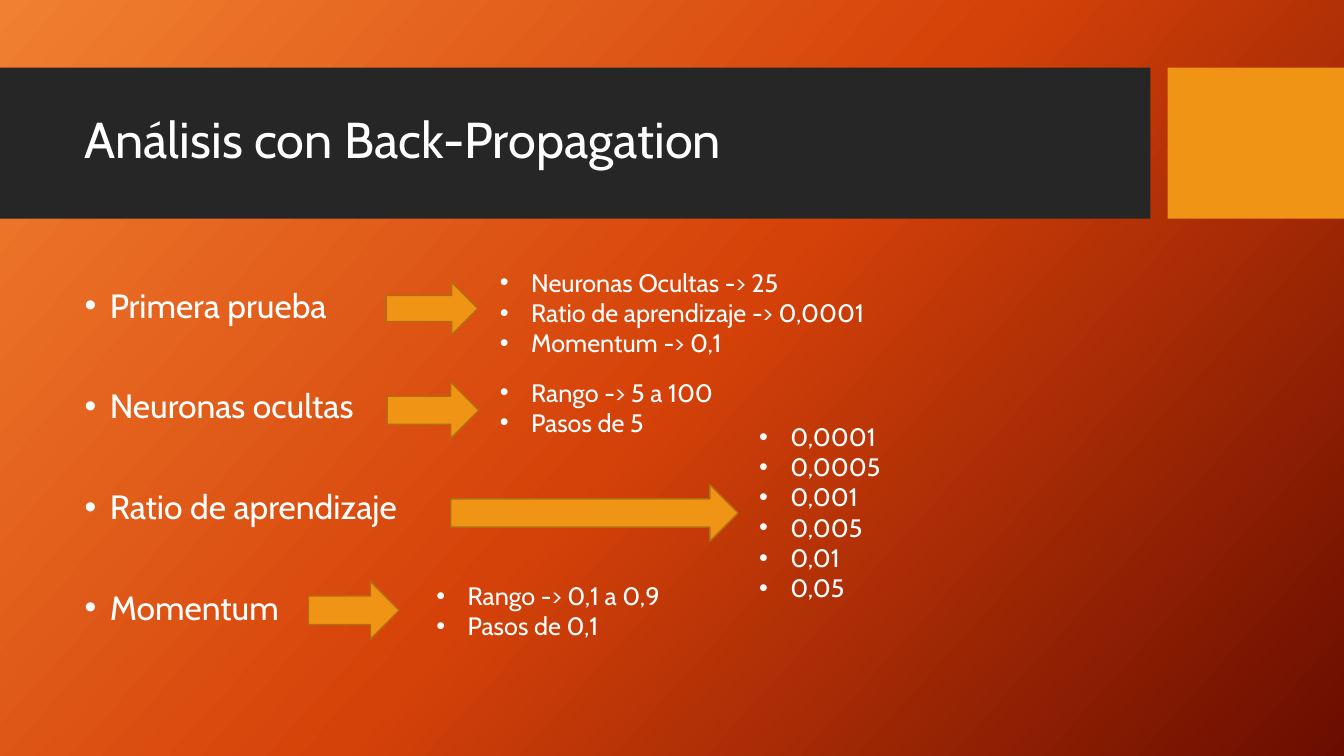
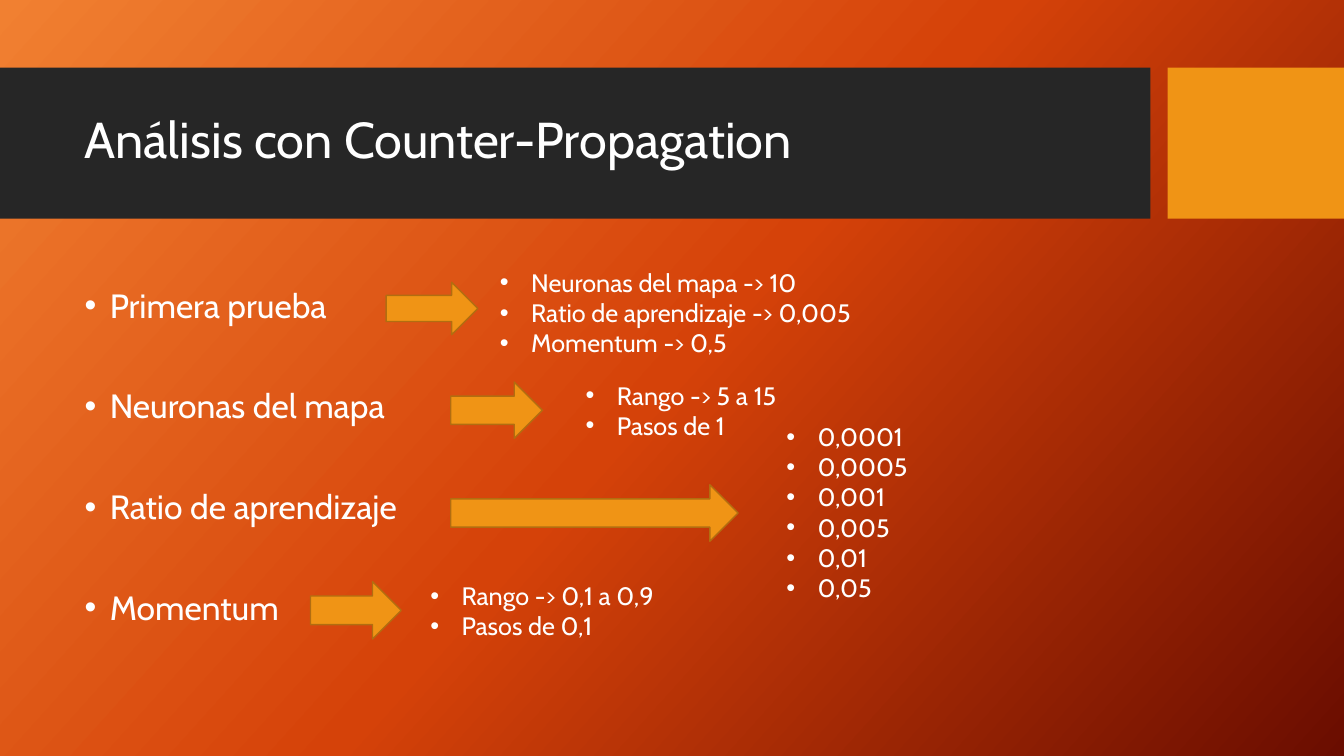
"""Builds two slides comparing the test settings of two neural network types."""
from copy import deepcopy
from dataclasses import dataclass

from lxml import etree
from pptx import Presentation
from pptx import util as u
from pptx.dml.color import RGBColor
from pptx.enum import shapes, text
from pptx.oxml.ns import qn

In = u.Inches


@dataclass(frozen=True)
class Theme:
    font: str = "Cabin"
    ink: str = "FFFFFF"
    band: str = "262626"
    accent: str = "F09415"
    accent_edge: str = "B26D10"
    backdrop: tuple = ((0, "F18031"), (0.5, "D54209"), (1, "6A0D00"))
    backdrop_angle: int = 42
    title_size: int = 36
    topic_size: int = 24
    detail_size: int = 18


THEME = Theme()
RATIOS = ["0,0001", "0,0005", "0,001", "0,005", "0,01", "0,05"]
MOMENTUM = ["Rango -> 0,1 a 0,9", "Pasos de 0,1"]

# topic, arrow left, details left, details top, details
DECK = [
    ("Análisis con Back-Propagation", [
        ("Primera prueba", 3.83, 4.86, 2.6,
         ["Neuronas Ocultas -> 25", "Ratio de aprendizaje -> 0,0001", "Momentum -> 0,1"]),
        ("Neuronas ocultas", 3.84, 4.86, 3.69, ["Rango -> 5 a 100", "Pasos de 5"]),
        ("Ratio de aprendizaje", 4.47, 7.43, 4.13, RATIOS),
        ("Momentum", 3.06, 4.23, 5.71, MOMENTUM),
    ]),
    ("Análisis con Counter-Propagation", [
        ("Primera prueba", 3.83, 4.86, 2.6,
         ["Neuronas del mapa -> 10", "Ratio de aprendizaje -> 0,005", "Momentum -> 0,5"]),
        ("Neuronas del mapa", 4.47, 5.71, 3.72, ["Rango -> 5 a 15", "Pasos de 1"]),
        ("Ratio de aprendizaje", 4.47, 7.7, 4.13, RATIOS),
        ("Momentum", 3.08, 4.17, 5.71, MOMENTUM),
    ]),
]
ARROW_ROWS = [(2.8, 0.91, 0.52), (3.79, 0.91, 0.56), (4.81, 2.85, 0.56), (5.77, 0.9, 0.57)]
DETAIL_WIDTHS = [4.93, 4.08, 2.09, 2.7]
DETAIL_LINE = 0.3
TOPIC_GAP = 46


def paint_backdrop(slide):
    fill = slide.background.fill
    fill.gradient()
    fill.gradient_angle = 360 - THEME.backdrop_angle
    stop_list = next(slide._element.iter(qn("a:gsLst")))
    stop_list.append(deepcopy(stop_list[-1]))
    for stop, (position, color) in zip(fill.gradient_stops, THEME.backdrop):
        stop.position = position
        stop.color.rgb = RGBColor.from_string(color)


def add_block(slide, kind, box, color, edge=None):
    block = slide.shapes.add_shape(kind, *map(In, box))
    block.shadow.inherit = False
    block.fill.solid()
    block.fill.fore_color.rgb = RGBColor.from_string(color)
    if edge:
        block.line.color.rgb = RGBColor.from_string(edge)
        block.line.width = u.Pt(1)
    else:
        block.line.fill.background()


def add_text(slide, box, lines, size, indent=0):
    frame = slide.shapes.add_textbox(*map(In, box)).text_frame
    frame.word_wrap = True
    frame.text = "\n".join(lines)
    for paragraph in frame.paragraphs:
        font = paragraph.runs[0].font
        font.name, font.size = THEME.font, u.Pt(size)
        font.color.rgb = RGBColor.from_string(THEME.ink)
        if indent:
            props = paragraph._p.get_or_add_pPr()
            props.set("marL", str(In(indent)))
            props.set("indent", str(-In(indent)))
            etree.SubElement(props, qn("a:buFont")).set("typeface", "Arial")
            etree.SubElement(props, qn("a:buChar")).set("char", "•")
    return frame


def add_header(slide, title):
    add_block(slide, shapes.MSO_SHAPE.RECTANGLE, (0, 0.67, 11.41, 1.5), THEME.band)
    add_block(slide, shapes.MSO_SHAPE.RECTANGLE, (11.58, 0.67, 1.75, 1.5), THEME.accent)
    frame = add_text(slide, (0.74, 0.82, 10.51, 1.18), [title], THEME.title_size)
    frame.vertical_anchor = text.MSO_ANCHOR.MIDDLE
    frame.paragraphs[0].line_spacing = 0.9


def add_topics(slide, topics):
    frame = add_text(slide, (0.74, 2.82, 3.72, 3.94), topics, THEME.topic_size, 0.25)
    for index, paragraph in enumerate(frame.paragraphs):
        paragraph.line_spacing = 0.9
        paragraph.space_before = u.Pt(TOPIC_GAP if index else 10)


def add_details(slide, left, top, width, details):
    height = 0.1 + DETAIL_LINE * len(details)
    frame = add_text(slide, (left, top, width, height), details, THEME.detail_size, 0.31)
    frame.auto_size = text.MSO_AUTO_SIZE.SHAPE_TO_FIT_TEXT


def main():
    deck = Presentation()
    deck.slide_width, deck.slide_height = In(13.33), In(7.5)
    for title, rows in DECK:
        slide = deck.slides.add_slide(deck.slide_layouts[6])
        paint_backdrop(slide)
        add_header(slide, title)
        add_topics(slide, [row[0] for row in rows])
        for row, arrow, detail_width in zip(rows, ARROW_ROWS, DETAIL_WIDTHS):
            _, arrow_left, detail_left, detail_top, details = row
            add_block(slide, shapes.MSO_SHAPE.RIGHT_ARROW, (arrow_left, *arrow),
                      THEME.accent, THEME.accent_edge)
            add_details(slide, detail_left, detail_top, detail_width, details)
    deck.save("out.pptx")


if __name__ == "__main__":
    main()
